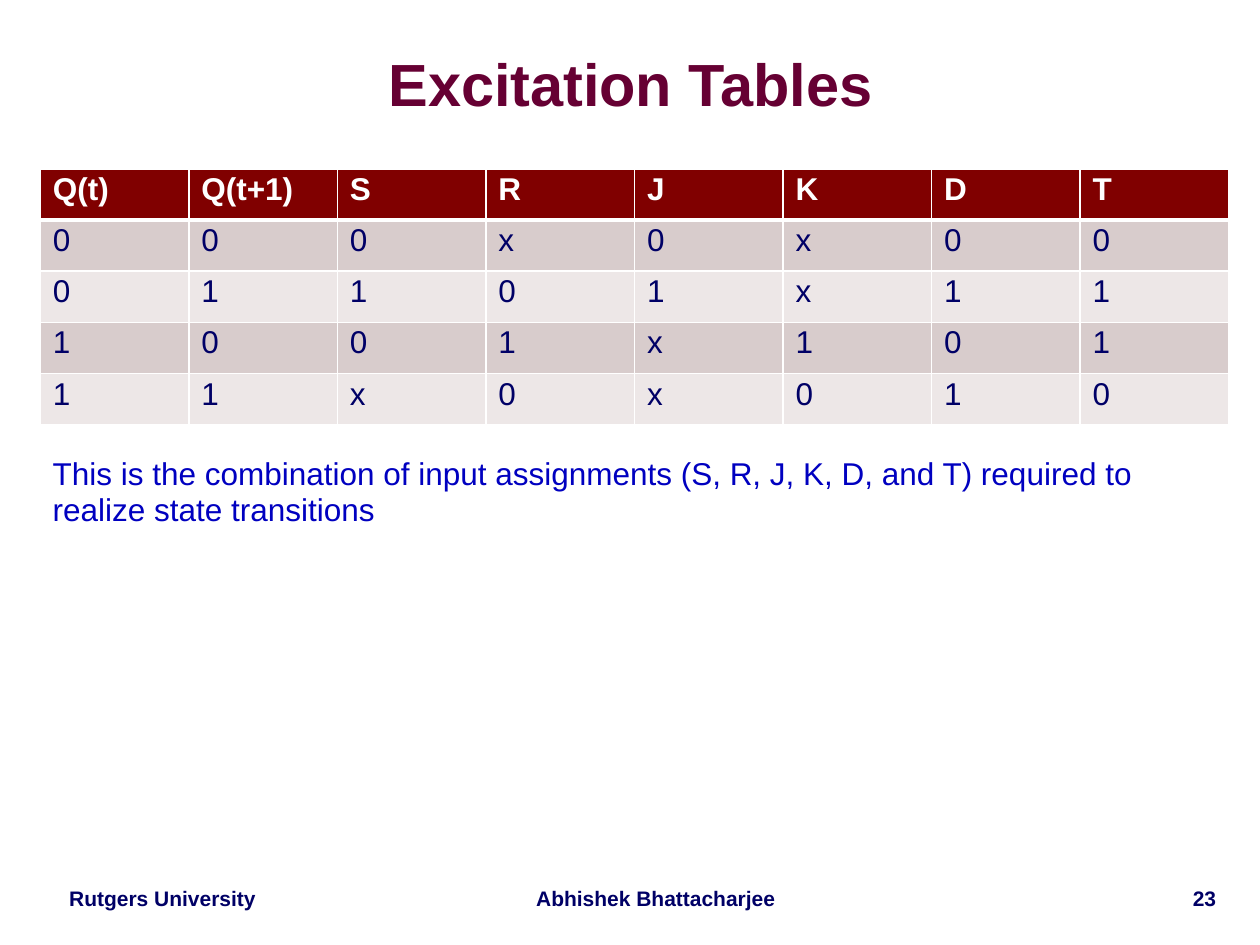
import pptx
import pptx.util
import pptx.dml.color
import pptx.enum.text
import pptx.oxml
import pptx.oxml.ns
from lxml import etree

Inches = pptx.util.Inches
RGBColor = pptx.dml.color.RGBColor
Align = pptx.enum.text.PP_ALIGN
Anchor = pptx.enum.text.MSO_ANCHOR

NAVY = RGBColor(0x00, 0x00, 0x66)
PLUM = RGBColor(0x66, 0x00, 0x33)
BLUE = RGBColor(0x00, 0x00, 0xC0)
MAROON = RGBColor(0x80, 0x00, 0x00)
WHITE = RGBColor(0xFF, 0xFF, 0xFF)
BANDS = (RGBColor(0xD8, 0xCC, 0xCC), RGBColor(0xED, 0xE7, 0xE7))

TITLE = "Excitation Tables"
ROWS = [
    ("Q(t)", "Q(t+1)", "S", "R", "J", "K", "D", "T"),
    ("0", "0", "0", "x", "0", "x", "0", "0"),
    ("0", "1", "1", "0", "1", "x", "1", "1"),
    ("1", "0", "0", "1", "x", "1", "0", "1"),
    ("1", "1", "x", "0", "x", "0", "1", "0"),
]
NOTE = ("This is the combination of input assignments (S, R, J, K, D, and T) "
        "required to realize state transitions")
FOOTERS = [
    ("Rutgers University", 0.33, 1.92, Align.CENTER),
    ("Abhishek Bhattacharjee", 4.08, 2.25, Align.CENTER),
    ("23", 8.17, 1.58, Align.RIGHT),
]
TABLE_AREA = (0.32, 1.34, 9.43, 2.03)


def write(frame, text, size, color, bold=False, align=Align.LEFT, spacing=0.9):
    frame.text = text
    para = frame.paragraphs[0]
    para.alignment = align
    para.line_spacing = spacing
    font = para.runs[0].font
    font.name = "Arial"
    font.size = pptx.util.Pt(size)
    font.bold = bold
    font.color.rgb = color


def add_text(page, area, text, size, color, **style):
    frame = page.shapes.add_textbox(*map(Inches, area)).text_frame
    frame.word_wrap = True
    write(frame, text, size, color, **style)
    return frame


def add_borders(cell, bottom):
    properties = cell._tc.get_or_add_tcPr()
    sides = (("lnL", 1), ("lnR", 1), ("lnT", 1), ("lnB", bottom))
    for position, (side, width) in enumerate(sides):
        line = etree.Element(pptx.oxml.ns.qn("a:" + side), w=str(pptx.util.Pt(width)))
        fill = etree.SubElement(line, pptx.oxml.ns.qn("a:solidFill"))
        etree.SubElement(fill, pptx.oxml.ns.qn("a:srgbClr"), val=str(WHITE))
        properties.insert(position, line)


def add_grid(page):
    grid = page.shapes.add_table(len(ROWS), len(ROWS[0]), *map(Inches, TABLE_AREA)).table
    for r, row in enumerate(ROWS):
        header = r == 0
        for c, text in enumerate(row):
            cell = grid.cell(r, c)
            write(cell.text_frame, text, 18, WHITE if header else NAVY, bold=header)
            cell.fill.solid()
            cell.fill.fore_color.rgb = MAROON if header else BANDS[(r - 1) % 2]
            add_borders(cell, 3 if header else 1)


def main():
    deck = pptx.Presentation()
    deck.slide_width, deck.slide_height = Inches(10), Inches(7.5)
    page = deck.slides.add_slide(deck.slide_layouts[6])
    for text, left, width, align in FOOTERS:
        add_text(page, (left, 7, width, 0.28), text, 12, NAVY, bold=True, align=align)
    title = add_text(page, (0.31, 0.27, 9.39, 0.85), TITLE, 34, PLUM,
                     bold=True, align=Align.CENTER, spacing=0.87)
    title.vertical_anchor = Anchor.MIDDLE
    title.margin_left = title.margin_right = title.margin_top = title.margin_bottom = 0
    add_grid(page)
    add_text(page, (0.32, 3.58, 9.43, 3.25), NOTE, 18, BLUE, spacing=0.95)
    deck.save("out.pptx")


if __name__ == "__main__":
    main()
